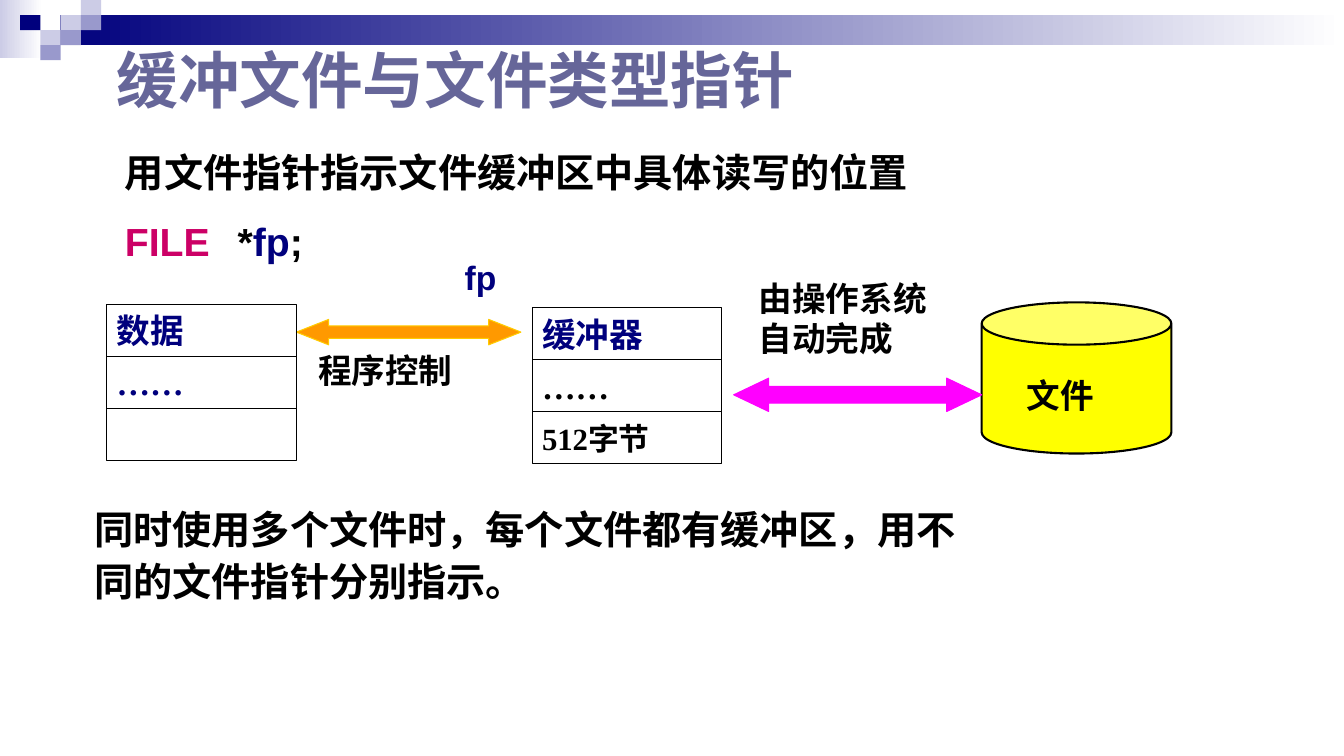
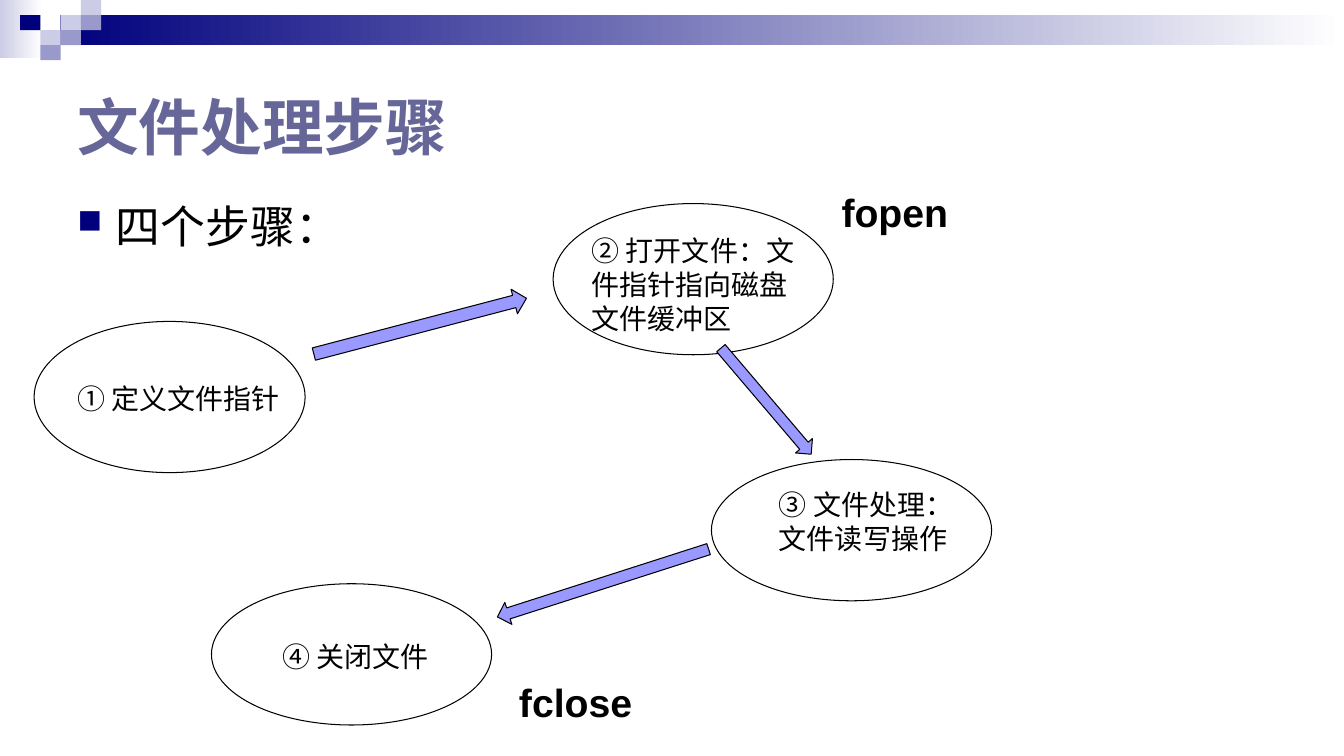
import pptx
import pptx.util
import pptx.dml.color
import pptx.enum.shapes
import pptx.enum.text
import pptx.oxml
import pptx.oxml.ns

Cm, Pt = pptx.util.Cm, pptx.util.Pt
KIND = pptx.enum.shapes.MSO_SHAPE
ANCHOR = pptx.enum.text.MSO_ANCHOR

# Shared look; lengths in cm, text sizes in points
HUES = {"navy": "00007D", "pale": "CCCCE6", "mid": "9999CC", "title": "666699",
        "black": "000000", "white": "FFFFFF", "red": "CC0066", "yellow": "FFFF00",
        "pink": "FF00FF", "orange": "FF9900", "gold": "FFCC00", "arrow": "9999FF"}
SANS, SERIF, HAN = "Arial", "Times New Roman", "Noto Sans CJK SC"
WIDE, HIGH = 33.87, 19.05
BANDS = [((0, 0, 1.07, 1.47), "pale"), ((1.52, 0.38, 32.35, 0.76), "navy")]
TILE = (0.51, 0.38)
TILES = [(3, 1, "pale"), (4, 0, "pale"), (4, 1, "mid"), (2, 2, "pale"),
         (1, 1, "navy"), (3, 2, "mid"), (2, 3, "mid")]

# Slide 1: text, size, colour per cell
HEAD_1 = ("缓冲文件与文件类型指针", (2.69, 0.84, 24.84, 2.29), HAN)
INTRO = "用文件指针指示文件缓冲区中具体读写的位置"
CODE = [("FILE", "red"), ("\t*", "black"), ("fp", "navy"), (";", "black")]
STACKS = [
    ((2.69, 7.68), [("数据", 24, "navy"), ("……", 24, "navy"), ("", 24, "black")]),
    ((13.41, 7.76), [("缓冲器", 24, "navy"), ("……", 24, "black"), ("512字节", 22, "black")]),
]
CELL = (4.78, 1.3)
PITCH = 1.31
FLOWS = [((18.49, 9.53, 6.25, 0.84), 1.05, "pink", "pink"),
         ((7.47, 8.05, 5.66, 0.64), 1.27, "orange", "gold")]
LABELS = [("文件", (25.63, 9.32, 3.28, 1.27), SERIF, "black"),
          ("由操作系统自动完成", (18.87, 6.88, 5.36, 2.31), SERIF, "black"),
          ("程序控制", (7.77, 8.69, 5.94, 1.27), SERIF, "black"),
          ("fp", (11.46, 6.35, 1.47, 1.27), SANS, "navy")]
CLOSE = "同时使用多个文件时，每个文件都有缓冲区，用不同的文件指针分别指示。"

# Slide 2: ellipse box, text, text box, wrap
HEAD_2 = ("文件处理步骤", (1.7, 1.27, 10.74, 3.81), SANS)
LEAD = "四个步骤："
STEPS = [
    ((0.86, 8.1, 6.83, 3.81), "① 定义文件指针", (1.7, 9.5, 5.69, 1.12), False),
    ((13.94, 5.13, 7.06, 3.81), "② 打开文件：文件指针指向磁盘文件缓冲区", (14.66, 5.77, 5.99, 2.82), True),
    ((17.93, 11.58, 7.06, 3.56), "③ 文件处理：文件读写操作", (19.38, 12.17, 4.95, 1.96), True),
    ((5.33, 14.71, 7.06, 3.56), "④ 关闭文件", (6.86, 15.98, 4.27, 1.12), False),
]
ARROWS = [((7.82, 7.9, 5.54, 0.64), 345.3), ((17.55, 9.83, 3.51, 0.56), 49.6),
          ((12.4, 14.4, 5.59, 0.58), 162.2)]
CALLS = [("fopen", (20.96, 4.62, 3.23, 1.45)), ("fclose", (12.83, 16.97, 3.4, 1.45))]


def hue(name):
    return pptx.dml.color.RGBColor.from_string(HUES[name])


def write(para, text, size, font=SANS, tint="black", bold=True):
    run = para.add_run()
    run.text = text
    run.font.size, run.font.bold, run.font.name = Pt(size), bold, font
    run.font.color.rgb = hue(tint)
    east = pptx.oxml.parse_xml(
        f'<a:ea {pptx.oxml.ns.nsdecls("a")} typeface="{HAN}"/>')
    run.font._element.find(pptx.oxml.ns.qn("a:latin")).addnext(east)


def label(page, box, text="", size=24, font=SANS, tint="black", bold=True,
          wrap=True, mid=False):
    frame = page.shapes.add_textbox(*map(Cm, box)).text_frame
    frame.word_wrap = wrap
    frame.vertical_anchor = ANCHOR.MIDDLE if mid else ANCHOR.TOP
    para = frame.paragraphs[0]
    if text:
        write(para, text, size, font, tint, bold)
    return frame


def shape(page, kind, box, fill=None, line=None, width=0.75):
    form = page.shapes.add_shape(kind, *map(Cm, box))
    form.shadow.inherit = False
    if fill:
        form.fill.solid()
        form.fill.fore_color.rgb = hue(fill)
    else:
        form.fill.background()
    if line:
        form.line.color.rgb = hue(line)
        form.line.width = Pt(width)
    else:
        form.line.fill.background()
    return form


def indent(para, left, first):
    props = para._p.get_or_add_pPr()
    props.set("marL", str(Cm(left)))
    props.set("indent", str(Cm(first)))
    return props


def extend(props, *marks):
    for mark in marks:
        name, rest = mark.split(" ", 1)
        props.append(pptx.oxml.parse_xml(
            f'<a:{name} {pptx.oxml.ns.nsdecls("a")} {rest}</a:{name}>'))


def start(deck, head):
    page = deck.slides.add_slide(deck.slide_layouts[6])
    for box, tint in BANDS:
        band = shape(page, KIND.RECTANGLE, box, tint)
        band.fill.gradient()
        band.fill.gradient_angle = 0
        for stop, name in zip(band.fill.gradient_stops, (tint, "white")):
            stop.color.rgb = hue(name)
    wide, high = TILE
    for col, row, tint in TILES:
        shape(page, KIND.RECTANGLE, (col * wide, row * high, wide, high), tint)
    text, box, font = head
    label(page, box, text, 44, font, "title", mid=True)
    return page


deck = pptx.Presentation()
deck.slide_width, deck.slide_height = Cm(WIDE), Cm(HIGH)

# Slide 1: intro and code line
page = start(deck, HEAD_1)
frame = label(page, (2.13, 3.38, 22.43, 4.24), INTRO, 28)
intro, code = frame.paragraphs[0], frame.add_paragraph()
for part, tint in CODE:
    write(code, part, 28, tint=tint)
for para, space in ((intro, 1.2), (code, 1.3)):
    para.line_spacing = space
    props = indent(para, 1.07, -0.3)
code.space_before = Pt(5.6)
extend(props, f'tabLst ><a:tab pos="{Cm(3.73)}" algn="l"/>')

# File, flows and memory cells
can = shape(page, KIND.CAN, (24.74, 7.62, 4.78, 3.81), "yellow", "black", 1.5)
can.adjustments[0] = 0.28
for box, tip, fill, line in FLOWS:
    flow = shape(page, KIND.LEFT_RIGHT_ARROW, box, fill, line)
    flow.adjustments[0], flow.adjustments[1] = 0.5, tip
for (left, top), cells in STACKS:
    for row, (text, size, tint) in enumerate(cells):
        box = (left, top + row * PITCH, *CELL)
        shape(page, KIND.RECTANGLE, box, line="black")
        if text:
            label(page, box, text, size, SERIF, tint, mid=True)
for text, box, font, tint in LABELS:
    label(page, box, text, 24, font, tint)
frame = label(page, (2.13, 12.5, 22.23, 2.87), CLOSE, 28)
frame.paragraphs[0].line_spacing = 1.1

# Slide 2: lead line with its bullet
page = start(deck, HEAD_2)
frame = label(page, (1.7, 4.88, 6.48, 2.39), LEAD, 32, bold=False)
props = indent(frame.paragraphs[0], 0.97, -0.97)
extend(props, f'buClr ><a:srgbClr val="{HUES["navy"]}"/>',
       'buSzPct val="75000">', 'buChar char="■">')

# Steps, arrows and calls
for oval, text, box, wrap in STEPS:
    shape(page, KIND.OVAL, oval, line="black")
    label(page, box, text, 20, HAN, bold=False, wrap=wrap)
for box, turn in ARROWS:
    shape(page, KIND.RIGHT_ARROW, box, "arrow", "black").rotation = turn
for text, box in CALLS:
    label(page, box, text, 28, wrap=False)

deck.save("out.pptx")
